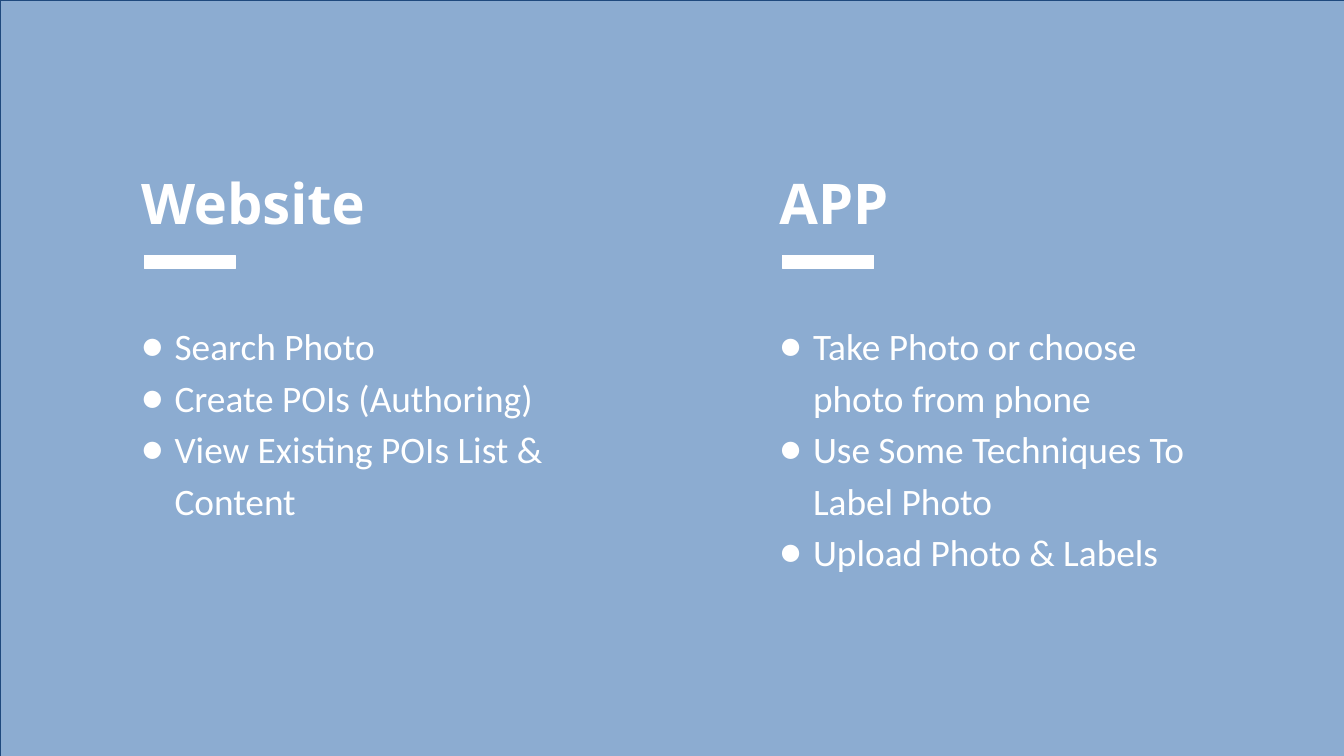
from lxml.etree import SubElement
from pptx import Presentation
from pptx.dml.color import RGBColor
from pptx.enum.shapes import MSO_SHAPE
from pptx.enum.text import MSO_ANCHOR, MSO_AUTO_SIZE, PP_ALIGN
from pptx.oxml.ns import qn
from pptx.util import Cm, Pt

BACKDROP = RGBColor(0xFA, 0xFF, 0xFE)
PANEL_BLUE = RGBColor(0x8C, 0xAC, 0xD1)
NAVY = RGBColor(0x1F, 0x49, 0x7D)
WHITE = RGBColor(0xFF, 0xFF, 0xFF)
SLIDE_WIDTH, SLIDE_HEIGHT = Cm(50.8), Cm(28.58)

COLUMNS = [
    (Cm(5.08), Cm(8.13), "Website",
     ["Search Photo", "Create POIs (Authoring)", "View Existing POIs List & Content"]),
    (Cm(29.21), Cm(10.08), "APP",
     ["Take Photo or choose photo from phone", "Use Some Techniques To Label Photo",
      "Upload Photo & Labels"]),
]


def place(shape, left, top, width, height):
    """Move and size a shape."""
    shape.left, shape.top, shape.width, shape.height = left, top, width, height


def add_rectangle(page, left, top, width, height, fill, line):
    """Add a flat rectangle with a thin outline."""
    shape = page.shapes.add_shape(MSO_SHAPE.RECTANGLE, left, top, width, height)
    shape.shadow.inherit = False
    shape.fill.solid()
    shape.fill.fore_color.rgb = fill
    shape.line.color.rgb = line
    shape.line.width = Pt(0.75)
    return shape


def add_bullet(para):
    """Give a paragraph a round white bullet with a hanging indent."""
    properties = para._p.get_or_add_pPr()
    properties.set("marL", str(Cm(1.27)))
    properties.set("indent", str(-Cm(1.35)))
    colour = SubElement(properties, qn("a:buClr"))
    SubElement(colour, qn("a:srgbClr"), val=str(WHITE))
    SubElement(properties, qn("a:buFont"), typeface="Calibri")
    SubElement(properties, qn("a:buChar"), char="●")


def write_text(box, lines, *, font, size, bold=False, bulleted=False, spacing=1.0):
    """Fill a box with one formatted paragraph per line."""
    frame = box.text_frame
    frame.word_wrap = True
    frame.auto_size = MSO_AUTO_SIZE.SHAPE_TO_FIT_TEXT
    frame.vertical_anchor = MSO_ANCHOR.TOP
    frame.margin_left = frame.margin_right = Cm(0.25)
    frame.margin_top = frame.margin_bottom = Cm(0.25)
    for index, line in enumerate(lines):
        para = frame.add_paragraph() if index else frame.paragraphs[0]
        if bulleted:
            add_bullet(para)
        para.alignment = PP_ALIGN.LEFT
        para.line_spacing = spacing
        para.space_before = Pt(0)
        span = para.add_run()
        span.text = line
        span.font.name = font
        span.font.size = Pt(size)
        span.font.bold = bold
        span.font.color.rgb = WHITE


def add_column(page, heading_box, list_box, left, list_height, heading, items):
    """Build a heading, its accent bar and its bulleted list."""
    place(heading_box, left, Cm(6.12), Cm(9.78), Cm(3.07))
    write_text(heading_box, [heading], font="Open Sans", size=60, bold=True)
    add_rectangle(page, left + Cm(0.38), Cm(9.65), Cm(3.43), Cm(0.51), WHITE, WHITE)
    place(list_box, left, Cm(11.73), Cm(16.84), list_height)
    write_text(list_box, items, font="Calibri", size=40, bulleted=True, spacing=1.15)


def main():
    """Build and save the slide."""
    deck = Presentation()
    deck.slide_width, deck.slide_height = SLIDE_WIDTH, SLIDE_HEIGHT
    page = deck.slides.add_slide(deck.slide_layouts.get_by_name("Comparison"))
    page.background.fill.solid()
    page.background.fill.fore_color.rgb = BACKDROP
    title, *boxes = list(page.placeholders)[:5]
    title.element.getparent().remove(title.element)

    panel = add_rectangle(page, 0, 0, SLIDE_WIDTH, SLIDE_HEIGHT, PANEL_BLUE, NAVY)
    boxes[0].element.addprevious(panel.element)
    for heading_box, list_box, column in zip(boxes[::2], boxes[1::2], COLUMNS):
        add_column(page, heading_box, list_box, *column)
    deck.save("out.pptx")


if __name__ == "__main__":
    main()
